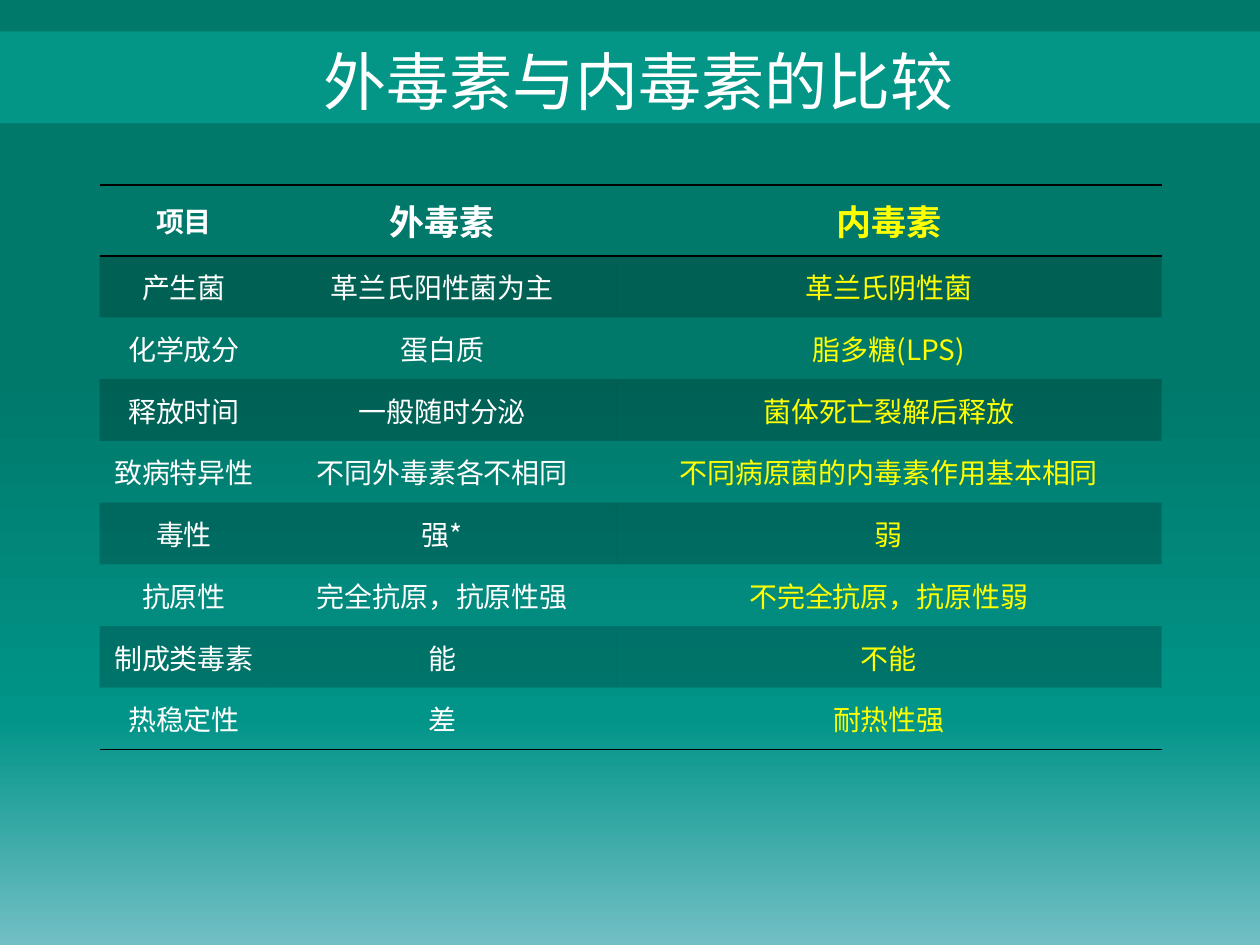
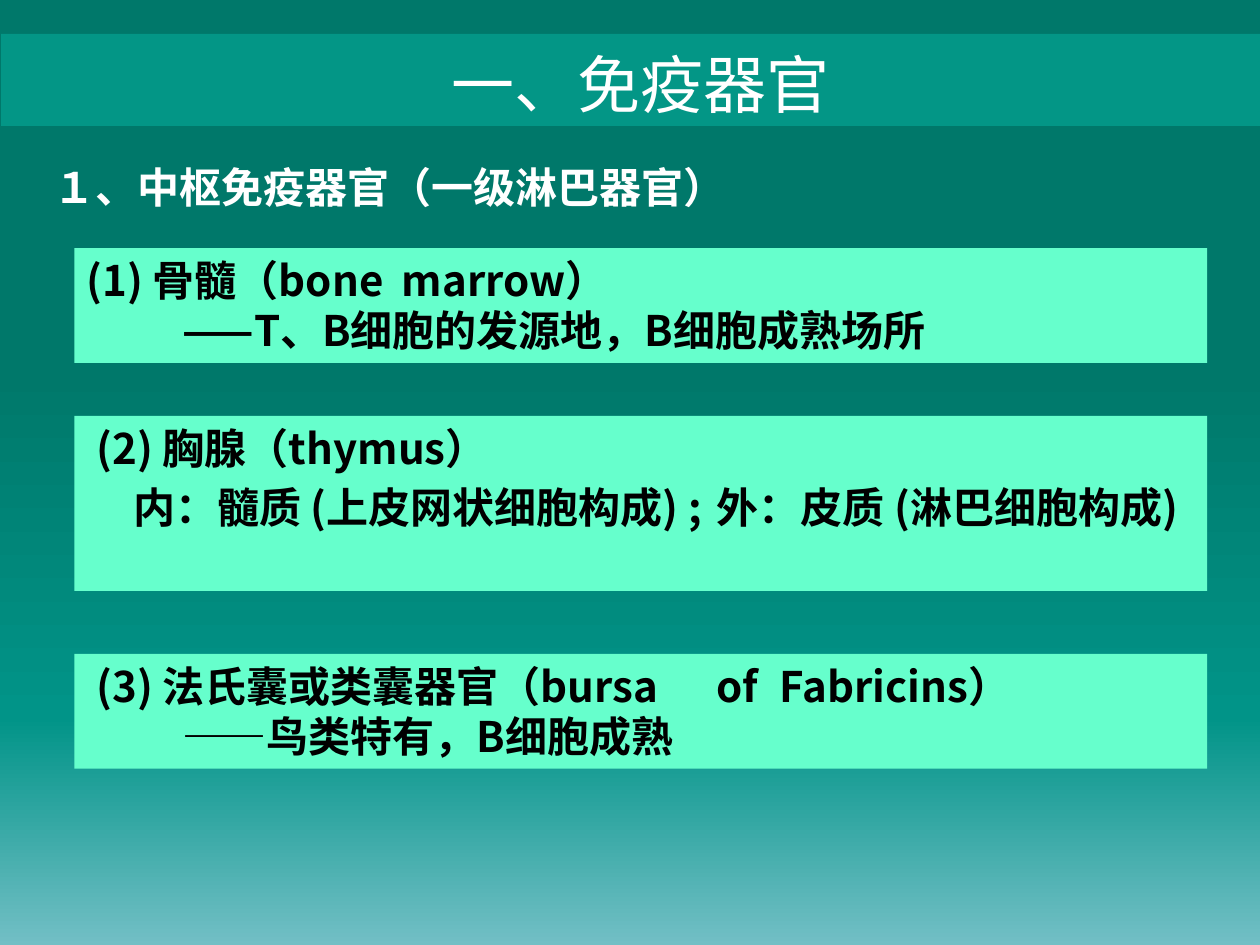
from lxml import etree
from pptx import Presentation
from pptx import util as u
from pptx.dml import color
from pptx.enum import shapes, text
from pptx.oxml import ns

Inches, Pt = u.Inches, u.Pt
FONT = "Noto Sans CJK SC"
COLOURS = {
    "band": "039686",
    "panel": "66FFCC",
    "white": "FFFFFF",
    "yellow": "FFFF00",
    "black": "000000",
}
BACKGROUND_STOPS = [(0, "00786A"), (39, "00786A"), (76, "019488"), (100, "72BFC5")]
NO_TABLE_STYLE = "{2D5ABB26-0587-4C30-8999-92F81FD0307C}"


def add_element(parent, tag, **attributes):
    return etree.SubElement(parent, ns.qn(tag), attributes)


class Deck:
    """Holds the shared style and the current slide."""

    def __init__(self):
        self.presentation = Presentation()
        self.presentation.slide_width = Inches(10)
        self.presentation.slide_height = Inches(7.5)
        self.slide = None
        self.set_background()

    def set_background(self):
        fill = self.presentation.slide_master.background.fill
        fill.gradient()
        fill.gradient_angle = 270
        stops = self.presentation.slide_master.element.find(".//" + ns.qn("a:gsLst"))
        for stop in list(stops):
            stops.remove(stop)
        for position, value in BACKGROUND_STOPS:
            stop = add_element(stops, "a:gs", pos=str(position * 1000))
            add_element(stop, "a:srgbClr", val=value)

    def rgb(self, name):
        return color.RGBColor.from_string(COLOURS[name])

    def add_slide(self):
        self.slide = self.presentation.slides.add_slide(self.presentation.slide_layouts[6])

    def add_words(self, paragraph, words, size, colour, bold=False):
        run = paragraph.add_run()
        run.text = words
        run.font.size = Pt(size)
        run.font.bold = bold
        run.font.name = FONT
        run.font.color.rgb = self.rgb(colour)
        add_element(run._r.get_or_add_rPr(), "a:ea", typeface=FONT)

    def rectangle(self, left, top, width, height, colour):
        shape = self.slide.shapes.add_shape(
            shapes.MSO_SHAPE.RECTANGLE, Inches(left), Inches(top), Inches(width), Inches(height))
        shape.shadow.inherit = False
        shape.fill.solid()
        shape.fill.fore_color.rgb = self.rgb(colour)
        shape.line.fill.background()
        return shape

    def textbox(self, left, top, width, height, words, size, bold=False, wrap=True):
        box = self.slide.shapes.add_textbox(
            Inches(left), Inches(top), Inches(width), Inches(height))
        box.text_frame.word_wrap = wrap
        paragraph = box.text_frame.paragraphs[0]
        self.add_words(paragraph, words, size, "white", bold)
        return paragraph

    def title(self, words, left, top):
        self.rectangle(left, top, 10, 0.73, "band")
        paragraph = self.textbox(left, top + 0.04, 10.14, 0.71, words, 36)
        paragraph.alignment = text.PP_ALIGN.CENTER

    def panel(self, top, height, lines):
        """Each line is (words, first-line indent, tab stops, space before)."""
        frame = self.rectangle(0.59, top, 8.99, height, "panel").text_frame
        frame.word_wrap = True
        frame.vertical_anchor = text.MSO_ANCHOR.TOP
        for number, (words, indent, tabs, space) in enumerate(lines):
            paragraph = frame.add_paragraph() if number else frame.paragraphs[0]
            paragraph.alignment = text.PP_ALIGN.LEFT
            if space:
                paragraph.space_before = Pt(space)
            properties = paragraph._p.get_or_add_pPr()
            properties.set("marL", "0")
            properties.set("indent", str(Inches(indent)))
            if tabs:
                tab_list = add_element(properties, "a:tabLst")
                for position in tabs:
                    add_element(tab_list, "a:tab", pos=str(Inches(position)), algn="l")
            self.add_words(paragraph, words, 24, "black", True)

    def rule(self, cell, tag, position):
        line = etree.Element(ns.qn(tag), w=str(Pt(1)))
        fill = add_element(line, "a:solidFill")
        add_element(fill, "a:srgbClr", val=COLOURS["black"])
        cell._tc.get_or_add_tcPr().insert(position, line)

    def shade(self, cell):
        cell.fill.solid()
        cell.fill.fore_color.rgb = self.rgb("black")
        value = cell._tc.get_or_add_tcPr().find(".//" + ns.qn("a:srgbClr"))
        add_element(value, "a:alpha", val="20000")

    def table(self, left, top, widths, heights, rows):
        frame = self.slide.shapes.add_table(
            len(rows), len(widths), Inches(left), Inches(top),
            Inches(sum(widths)), Inches(sum(heights)))
        table = frame.table
        frame.element.find(".//" + ns.qn("a:tableStyleId")).text = NO_TABLE_STYLE
        table.horz_banding = False
        for column, width in zip(table.columns, widths):
            column.width = Inches(width)
        for row, height in zip(table.rows, heights):
            row.height = Inches(height)
        for row_number, row in enumerate(rows):
            header = row_number == 0
            for column_number, words in enumerate(row):
                cell = table.cell(row_number, column_number)
                cell.margin_left = cell.margin_right = Inches(0.08)
                cell.margin_top = cell.margin_bottom = 0
                cell.vertical_anchor = text.MSO_ANCHOR.MIDDLE
                paragraph = cell.text_frame.paragraphs[0]
                paragraph.alignment = text.PP_ALIGN.CENTER
                size = 20 if header and column_number else 16
                colour = "yellow" if column_number == 2 else "white"
                self.add_words(paragraph, words, size, colour, header)
                # Odd rows are shaded; rules frame the header and close the table
                if row_number % 2:
                    self.shade(cell)
                else:
                    cell.fill.background()
                if header:
                    self.rule(cell, "a:lnT", 0)
                if header or row_number == len(rows) - 1:
                    self.rule(cell, "a:lnB", int(header))


def toxin_slide(deck):
    deck.add_slide()
    deck.title("外毒素与内毒素的比较", 0, 0.25)
    rows = [
        ("项目", "外毒素", "内毒素"),
        ("产生菌", "革兰氏阳性菌为主", "革兰氏阴性菌"),
        ("化学成分", "蛋白质", "脂多糖(LPS)"),
        ("释放时间", "一般随时分泌", "菌体死亡裂解后释放"),
        ("致病特异性", "不同外毒素各不相同", "不同病原菌的内毒素作用基本相同"),
        ("毒性", "强*", "弱"),
        ("抗原性", "完全抗原，抗原性强", "不完全抗原，抗原性弱"),
        ("制成类毒素", "能", "不能"),
        ("热稳定性", "差", "耐热性强"),
    ]
    deck.table(0.79, 1.47, [1.34, 2.76, 4.33], [0.56] + [0.49] * 8, rows)


def organ_slide(deck):
    deck.add_slide()
    deck.textbox(0.33, 1.23, 5.73, 0.51, "１、中枢免疫器官（一级淋巴器官）", 24, True, False)
    deck.panel(1.97, 0.91, [
        ("(1) 骨髓（bone\tmarrow）", 0, [2.8], 0),
        ("——T、B细胞的发源地，B细胞成熟场所", 0.76, [], 0),
    ])
    deck.panel(3.3, 1.39, [
        ("(2) 胸腺（thymus）", 0.08, [], 0),
        ("内：髓质 (上皮网状细胞构成) ;\t外：皮质 (淋巴细胞构成)", 0.37, [5.35], 5),
    ])
    deck.panel(5.19, 0.91, [
        ("(3) 法氏囊或类囊器官（bursa\tof\tFabricins）", 0.08, [4.83, 5.31], 0),
        ("——鸟类特有，B细胞成熟", 0.76, [], 0),
    ])
    deck.title("一、免疫器官", 0.01, 0.27)


def main():
    deck = Deck()
    toxin_slide(deck)
    organ_slide(deck)
    deck.presentation.save("out.pptx")


if __name__ == "__main__":
    main()
